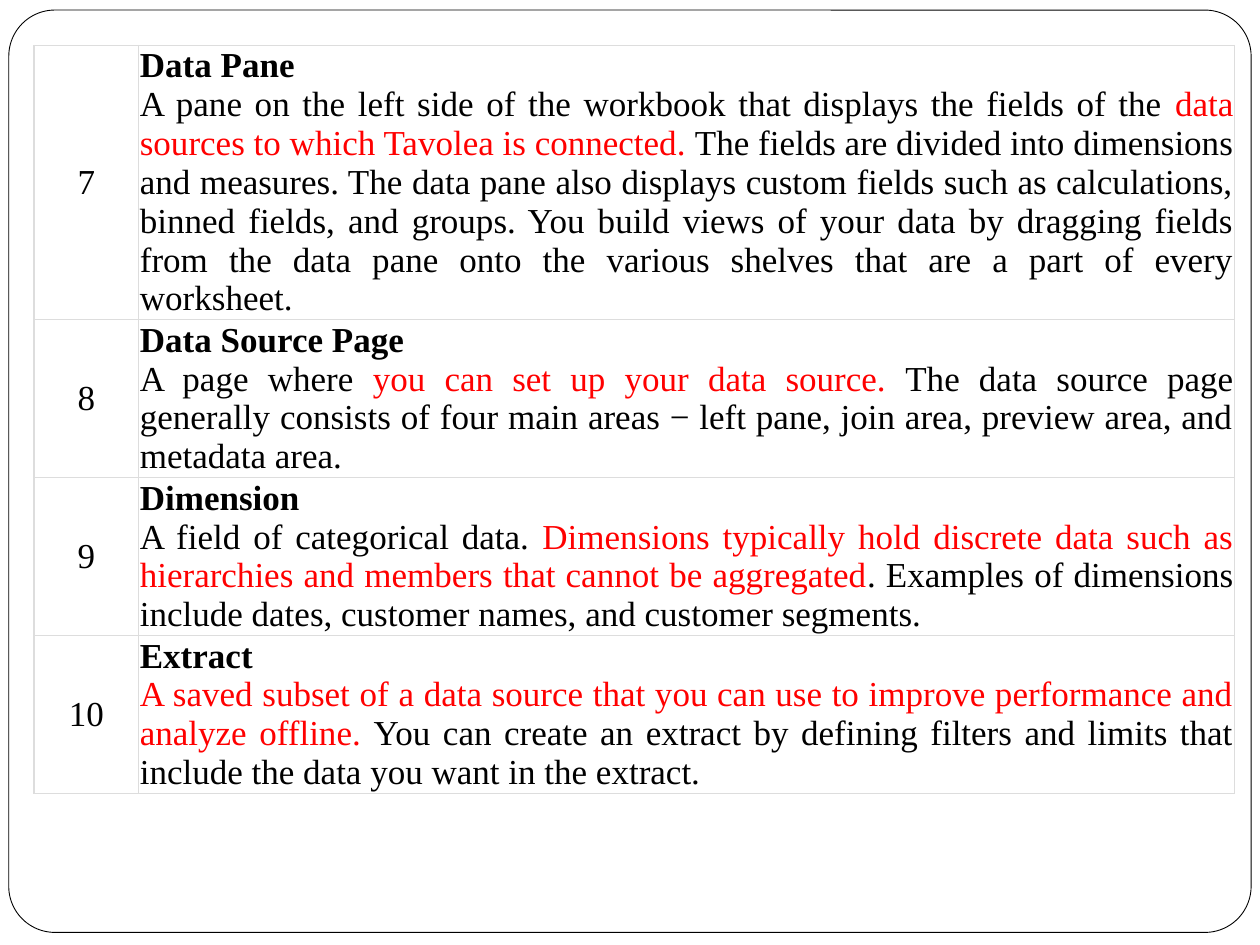
from dataclasses import dataclass

from lxml import etree
from pptx import Presentation
from pptx.dml.color import RGBColor
from pptx.enum.shapes import MSO_SHAPE
from pptx.enum.text import MSO_ANCHOR, PP_ALIGN
from pptx.oxml.ns import qn
from pptx.util import Inches, Pt

ROUNDED_RECTANGLE = MSO_SHAPE.ROUNDED_RECTANGLE
MIDDLE, TOP = MSO_ANCHOR.MIDDLE, MSO_ANCHOR.TOP
CENTER, JUSTIFY = PP_ALIGN.CENTER, PP_ALIGN.JUSTIFY

BLACK = RGBColor(0x00, 0x00, 0x00)
WHITE = RGBColor(0xFF, 0xFF, 0xFF)
RED = RGBColor(0xFF, 0x00, 0x00)
BORDER_GRAY = RGBColor(0xDD, 0xDD, 0xDD)

FONT = "Times New Roman"
BLANK_LAYOUT = 6
FIRST_NUMBER = 7
COLUMN_WIDTHS = (0.83, 8.7)
LINE_HEIGHT = 0.3  # rows grow to fit their text
CELL_MARGIN = 0.01


@dataclass(frozen=True)
class Term:
    name: str
    before: str
    highlight: str
    after: str
    line_count: int


TERMS = (
    Term(
        "Data Pane",
        "A pane on the left side of the workbook that displays the fields of the ",
        "data sources to which Tavolea is connected. ",
        "The fields are divided into dimensions and measures. The data pane also "
        "displays custom fields such as calculations, binned fields, and groups. "
        "You build views of your data by dragging fields from the data pane onto "
        "the various shelves that are a part of every worksheet.",
        7,
    ),
    Term(
        "Data Source Page",
        "A page where ",
        "you can set up your data source. ",
        "The data source page generally consists of four main areas − left pane, "
        "join area, preview area, and metadata area.",
        4,
    ),
    Term(
        "Dimension",
        "A field of categorical data. ",
        "Dimensions typically hold discrete data such as hierarchies and members "
        "that cannot be aggregated",
        ". Examples of dimensions include dates, customer names, and customer "
        "segments.",
        4,
    ),
    Term(
        "Extract",
        "",
        "A saved subset of a data source that you can use to improve performance "
        "and analyze offline. ",
        "You can create an extract by defining filters and limits that include "
        "the data you want in the extract.",
        4,
    ),
)


def add_run(paragraph, text: str, *, color: RGBColor = BLACK, bold: bool = False) -> None:
    run = paragraph.add_run()
    run.text = text
    run.font.name = FONT
    run.font.size = Pt(20)
    run.font.bold = bold
    run.font.color.rgb = color


def add_borders(cell) -> None:
    properties = cell._tc.get_or_add_tcPr()
    for index, side in enumerate(("a:lnL", "a:lnR", "a:lnT", "a:lnB")):
        line = etree.Element(qn(side), w=str(Pt(0.75)))
        fill = etree.SubElement(line, qn("a:solidFill"))
        etree.SubElement(fill, qn("a:srgbClr"), val=str(BORDER_GRAY))
        properties.insert(index, line)


def format_cell(cell, anchor: MSO_ANCHOR) -> None:
    cell.margin_left = cell.margin_right = Inches(CELL_MARGIN)
    cell.margin_top = cell.margin_bottom = Inches(CELL_MARGIN)
    cell.vertical_anchor = anchor
    cell.fill.background()
    add_borders(cell)


def fill_number_cell(cell, number: int) -> None:
    format_cell(cell, MIDDLE)
    paragraph = cell.text_frame.paragraphs[0]
    paragraph.alignment = CENTER
    add_run(paragraph, str(number))


def fill_term_cell(cell, term: Term) -> None:
    format_cell(cell, TOP)
    heading = cell.text_frame.paragraphs[0]
    description = cell.text_frame.add_paragraph()
    heading.alignment = description.alignment = JUSTIFY
    add_run(heading, term.name, bold=True)
    for text, color in ((term.before, BLACK), (term.highlight, RED), (term.after, BLACK)):
        if text:
            add_run(description, text, color=color)


def add_frame(slide) -> None:
    frame = slide.shapes.add_shape(
        ROUNDED_RECTANGLE, Inches(0.07), Inches(0.08), Inches(9.86), Inches(7.32)
    )
    frame.adjustments[0] = 0.05
    frame.shadow.inherit = False
    frame.fill.solid()
    frame.fill.fore_color.rgb = WHITE
    frame.line.color.rgb = BLACK
    frame.line.width = Pt(0.5)


def add_glossary(slide) -> None:
    heights = [term.line_count * LINE_HEIGHT for term in TERMS]
    table = slide.shapes.add_table(
        len(TERMS), len(COLUMN_WIDTHS), Inches(0.27), Inches(0.36),
        Inches(sum(COLUMN_WIDTHS)), Inches(sum(heights)),
    ).table
    table.first_row = table.horz_banding = False
    for column, width in zip(table.columns, COLUMN_WIDTHS):
        column.width = Inches(width)
    for index, (term, height) in enumerate(zip(TERMS, heights)):
        table.rows[index].height = Inches(height)
        fill_number_cell(table.cell(index, 0), FIRST_NUMBER + index)
        fill_term_cell(table.cell(index, 1), term)


def main() -> None:
    presentation = Presentation()
    presentation.slide_width = Inches(10)
    presentation.slide_height = Inches(7.5)
    slide = presentation.slides.add_slide(presentation.slide_layouts[BLANK_LAYOUT])
    add_frame(slide)
    add_glossary(slide)
    presentation.save("out.pptx")


if __name__ == "__main__":
    main()
